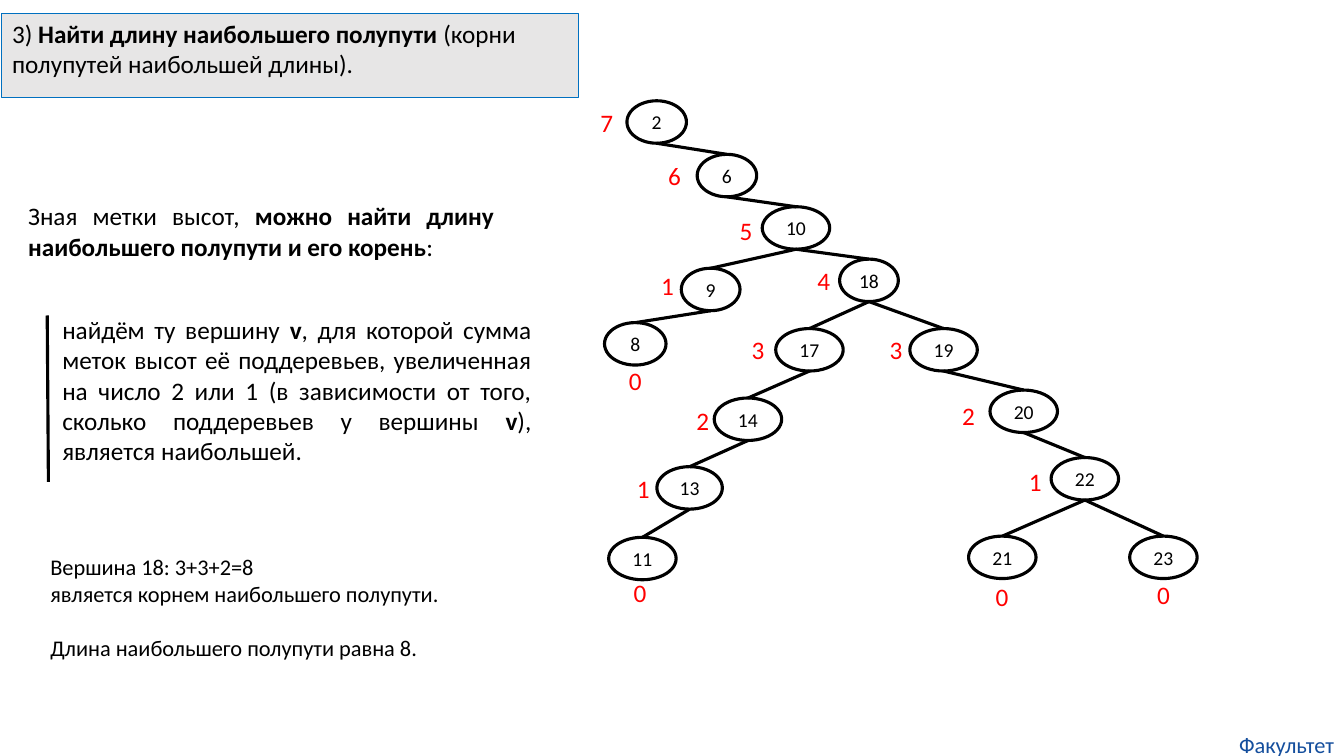
from dataclasses import dataclass

from lxml import etree
from pptx import Presentation
from pptx.dml.color import RGBColor
from pptx.enum.shapes import MSO_CONNECTOR, MSO_SHAPE
from pptx.enum.text import MSO_ANCHOR, MSO_AUTO_SIZE, PP_ALIGN
from pptx.oxml.ns import qn
from pptx.util import Cm, Pt

LEFT, CENTER, JUSTIFY = PP_ALIGN.LEFT, PP_ALIGN.CENTER, PP_ALIGN.JUSTIFY
TOP, MIDDLE = MSO_ANCHOR.TOP, MSO_ANCHOR.MIDDLE
FIT_SHAPE = MSO_AUTO_SIZE.SHAPE_TO_FIT_TEXT
ELLIPSE, RECTANGLE = MSO_SHAPE.OVAL, MSO_SHAPE.RECTANGLE
STRAIGHT = MSO_CONNECTOR.STRAIGHT


@dataclass(frozen=True)
class Theme:
    """Colours, font and type sizes of the slide."""
    font: str = "Calibri"
    ink: RGBColor = RGBColor(0, 0, 0)
    paper: RGBColor = RGBColor(255, 255, 255)
    mark: RGBColor = RGBColor(255, 0, 0)
    panel: RGBColor = RGBColor(0xE7, 0xE6, 0xE6)
    border: RGBColor = RGBColor(0x00, 0x70, 0xC0)
    footer: RGBColor = RGBColor(0x14, 0x4E, 0x9D)
    body: Pt = Pt(18)
    note: Pt = Pt(16)
    node: Pt = Pt(14)
    stroke: Pt = Pt(2.25)


theme = Theme()


def write(box, lines, size, color=theme.ink, align=LEFT, anchor=TOP):
    """Fill a box with paragraphs; text between asterisks is bold."""
    frame = box.text_frame
    frame.word_wrap = True
    frame.vertical_anchor = anchor
    for index, line in enumerate(lines):
        para = frame.add_paragraph() if index else frame.paragraphs[0]
        para.alignment = align
        for position, words in enumerate(line.split("*")):
            span = para.add_run()
            span.text = words
            span.font.name = theme.font
            span.font.size = size
            span.font.bold = position % 2 == 1
            span.font.color.rgb = color
    return frame


def draw_line(start, end):
    """Draw a plain black line between two points given in centimetres."""
    line = page.shapes.add_connector(
        STRAIGHT, Cm(start[0]), Cm(start[1]), Cm(end[0]), Cm(end[1]))
    line.line.color.rgb = theme.ink
    line.line.width = theme.stroke
    etree.SubElement(line._element.spPr, qn("a:effectLst"))


deck = Presentation()
deck.slide_width, deck.slide_height = Cm(33.87), Cm(19.05)
page = deck.slides.add_slide(deck.slide_layouts[5])

# Heading
title = page.shapes.title
title.left, title.top, title.width, title.height = Cm(0.05), Cm(0.33), Cm(14.53), Cm(1.8)
title.fill.solid()
title.fill.fore_color.rgb = theme.panel
title.line.color.rgb = theme.border
title.line.width = Pt(0.75)
heading = "3) *Найти длину наибольшего полупути *(корни полупутей наибольшей длины)."
write(title, [heading], theme.body).auto_size = FIT_SHAPE

# Tree: key -> parent, centre x, top, width, then height mark and its left and top
NODE_HEIGHT = 1.07
tree = {
    2: (None, 16.55, 2.54, 1.5, 7, 14.88, 2.59),
    6: (2, 18.32, 3.89, 1.5, 6, 16.59, 3.91),
    10: (6, 20.06, 5.21, 1.7, 5, 18.39, 5.31),
    9: (10, 17.91, 6.76, 1.48, 1, 16.41, 6.68),
    18: (10, 21.9, 6.53, 1.48, 4, 20.35, 6.55),
    8: (9, 16.01, 8.13, 1.55, 0, 15.6, 9.07),
    17: (18, 20.4, 8.28, 1.7, 3, 18.69, 8.31),
    19: (18, 23.78, 8.28, 1.7, 3, 22.17, 8.31),
    14: (17, 18.85, 10.03, 1.7, 2, 17.3, 10.08),
    13: (14, 17.38, 11.76, 1.65, 1, 15.8, 11.79),
    11: (13, 16.19, 13.54, 1.7, 0, 15.72, 14.43),
    20: (19, 25.8, 9.83, 1.7, 2, 24, 9.96),
    22: (20, 27.34, 11.53, 1.7, 1, 25.68, 11.63),
    21: (22, 25.26, 13.51, 1.7, 0, 24.84, 14.53),
    23: (22, 29.32, 13.51, 1.7, 0, 28.91, 14.48),
}

for parent, _, _, _, height_mark, left, top in tree.values():
    label = page.shapes.add_shape(RECTANGLE, Cm(left), Cm(top), Cm(0.84), Cm(1.02))
    label.shadow.inherit = False
    label.line.fill.background()
    if parent is None:
        label.fill.background()
    else:
        label.fill.solid()
        label.fill.fore_color.rgb = theme.paper
    frame = write(label, [str(height_mark)], theme.body, theme.mark)
    frame.word_wrap = False
    frame.auto_size = FIT_SHAPE

for key, (_, center, top, width, *_) in tree.items():
    node = page.shapes.add_shape(
        ELLIPSE, Cm(center - width / 2), Cm(top), Cm(width), Cm(NODE_HEIGHT))
    node.shadow.inherit = False
    node.fill.solid()
    node.fill.fore_color.rgb = theme.paper
    node.line.color.rgb = theme.ink
    node.line.width = theme.stroke
    write(node, [str(key)], theme.node, align=CENTER, anchor=MIDDLE)

for parent, center, top, *_ in tree.values():
    if parent is not None:
        _, parent_center, parent_top, *_ = tree[parent]
        draw_line((parent_center, parent_top + NODE_HEIGHT), (center, top))

# Explanation: left, top, width, height, size, colour, alignment, paragraphs
texts = [
    (0.46, 4.93, 12.24, 1.8, theme.body, theme.ink, JUSTIFY,
     ["Зная метки высот, *можно найти длину наибольшего полупути и его корень*:"]),
    (1.32, 7.8, 12.32, 4.11, theme.body, theme.ink, JUSTIFY,
     ["найдём ту вершину *v*, для которой сумма меток высот её поддеревьев, "
      "увеличенная на число 2 или 1 (в зависимости от того, сколько поддеревьев "
      "у вершины *v*), является наибольшей."]),
    (1.02, 13.82, 11.94, 3.76, theme.note, theme.ink, LEFT,
     ["Вершина 18: 3+3+2=8", "является корнем наибольшего полупути.",
      "Длина наибольшего полупути равна 8."]),
    (30.99, 18.42, 2.87, 0.69, theme.note, theme.footer, CENTER, ["Факультет"]),
]
for left, top, width, height, size, color, align, lines in texts:
    box = page.shapes.add_textbox(Cm(left), Cm(top), Cm(width), Cm(height))
    frame = write(box, lines, size, color, align)
    frame.auto_size = FIT_SHAPE
    if len(lines) > 1:
        frame.paragraphs[-1].space_before = Pt(19.5)
    if color == theme.footer:
        frame.margin_left = frame.margin_right = 0
        frame.margin_top = frame.margin_bottom = 0

draw_line((1.19, 7.95), (1.22, 12.14))

deck.save("out.pptx")
